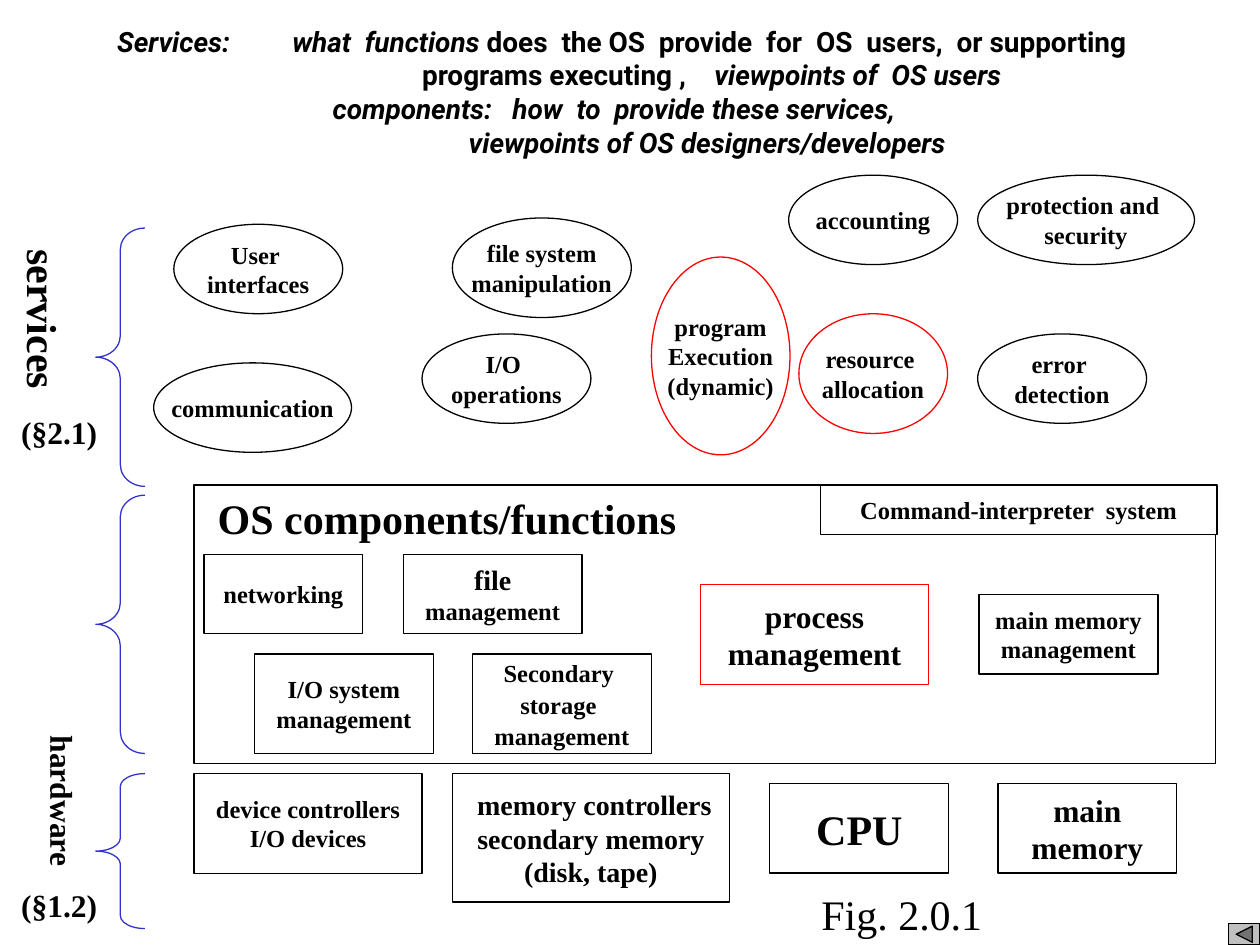
import pptx
import pptx.util
from pptx.dml.color import RGBColor
from pptx.enum.shapes import MSO_SHAPE
from pptx.enum.text import MSO_ANCHOR, MSO_AUTO_SIZE, PP_ALIGN
from pptx.oxml import parse_xml
from pptx.oxml.ns import nsdecls
from pptx.util import Inches, Pt

BLACK = RGBColor(0x00, 0x00, 0x00)
WHITE = RGBColor(0xFF, 0xFF, 0xFF)
RED = RGBColor(0xFF, 0x00, 0x00)
BLUE = RGBColor(0x33, 0x33, 0xCC)
SILVER = RGBColor(0xC0, 0xC0, 0xC0)
TITLE_FONT, BODY_FONT = "Roboto", "Times New Roman"

# Title lines: (tab stops in inches, [(text, italic), ...])
TITLE = [
    ((0.73, 2.12), [("\tServices:\twhat  functions ", True),
                    ("does  the OS  provide  for  OS  users,  or supporting", False)]),
    ((3.15, 5.47), [("\tprograms executing ,", False),
                    ("\tviewpoints of  OS users", True)]),
    ((2.44,), [("\tcomponents:   how  to  provide these services,", True)]),
    ((3.52,), [("\tviewpoints of OS designers/developers", True)]),
]

# Boxes: (left, top, width, height), lines, size, line colour
# A line is a string, or a list of (text, size) where sizes are mixed.
HARDWARE = [
    ((1.54, 6.14, 1.81, 0.79), ["device controllers", "I/O devices"], 14, BLACK),
    ((3.59, 6.14, 2.2, 1.02),
     [" memory controllers", "secondary memory", "(disk, tape)"], 16, BLACK),
    ((6.11, 6.22, 1.42, 0.71), ["CPU"], 24, BLACK),
    ((7.92, 6.22, 1.42, 0.71), ["main", "memory"], 18, BLACK),
]
COMPONENTS = [
    ((1.54, 3.85, 8.11, 2.21), [], 14, BLACK),
    ((5.56, 4.64, 1.81, 0.79), ["process", "management"], 18, RED),
    ((7.77, 4.72, 1.42, 0.63), ["main memory", "management"], 14, BLACK),
    ((3.2, 4.4, 1.42, 0.63), [[("file", 16)], "management"], 14, BLACK),
    ((2.02, 5.19, 1.42, 0.79), ["I/O system", "management"], 14, BLACK),
    ((3.75, 5.19, 1.42, 0.79),
     ["Secondary ", [("storage", 14), (" ", 16)], "management"], 14, BLACK),
    ((1.62, 4.4, 1.26, 0.63), ["networking"], 14, BLACK),
    ((6.51, 3.85, 3.15, 0.39), ["Command-interpreter  system"], 14, BLACK),
]
SERVICES = [
    ((5.17, 2.04, 1.1, 1.57), ["program", "Execution", "(dynamic)"], 14, RED),
    ((1.38, 1.78, 1.34, 0.71), ["User ", "interfaces"], 14, BLACK),
    ((3.59, 1.73, 1.42, 0.79), ["file system", "manipulation"], 14, BLACK),
    ((1.22, 2.88, 1.57, 0.71), ["communication"], 14, BLACK),
    ((7.76, 2.65, 1.34, 0.71), ["error ", "detection"], 14, BLACK),
    ((6.34, 2.49, 1.18, 0.95), ["resource ", "allocation"], 14, RED),
    ((6.26, 1.39, 1.34, 0.71), ["accounting"], 14, BLACK),
    ((7.76, 1.39, 1.72, 0.71), ["protection and ", "security"], 14, BLACK),
    ((3.35, 2.65, 1.34, 0.71), ["I/O ", "operations"], 14, BLACK),
]

# Labels: position, text, size, bold, vertical
LABELS = [
    ((1.63, 3.86, 3.84, 0.5), "OS components/functions", 24, True, False),
    ((0.2, 5.74, 0.5, 1.14), "hardware", 18, True, True),
    ((0, 1.88, 0.6, 1.21), "services", 24, True, True),
    ((0.07, 3.23, 0.86, 0.4), "(§2.1)", 18, True, False),
    ((0.07, 6.98, 0.86, 0.4), "(§1.2)", 18, True, False),
    ((6.42, 7, 1.5, 0.5), "Fig. 2.0.1", 24, False, False),
]

# Braces: top, height
BRACES = [(1.81, 2.05), (3.93, 2.05), (6.14, 1.23)]
BRACE_LEFT, BRACE_WIDTH = 0.76, 0.39


def style_font(font, size, bold=True, name=BODY_FONT):
    font.name, font.size, font.bold = name, Pt(size), bold
    font.color.rgb = BLACK


def add_outline(slide, kind, place, line, fill=None):
    shape = slide.shapes.add_shape(kind, *map(Inches, place))
    shape.shadow.inherit = False
    if fill is None:
        shape.fill.background()
    else:
        shape.fill.solid()
        shape.fill.fore_color.rgb = fill
    shape.line.color.rgb = line
    shape.line.width = Pt(0.75)
    return shape


def add_box(slide, kind, place, lines, size, line_color):
    frame = add_outline(slide, kind, place, line_color, WHITE).text_frame
    frame.word_wrap = False
    frame.vertical_anchor = MSO_ANCHOR.MIDDLE
    for i, line in enumerate(lines):
        paragraph = frame.add_paragraph() if i else frame.paragraphs[0]
        paragraph.alignment = PP_ALIGN.CENTER
        style_font(paragraph.font, size)
        for text, run_size in [(line, size)] if isinstance(line, str) else line:
            run = paragraph.add_run()
            run.text = text
            if run_size != size:
                run.font.size = Pt(run_size)


def add_label(slide, place, text, size, bold, vertical):
    frame = slide.shapes.add_textbox(*map(Inches, place)).text_frame
    frame.word_wrap = False
    frame.auto_size = MSO_AUTO_SIZE.NONE
    if vertical:
        frame.margin_left = frame.margin_right = Inches(0.05)
        frame.margin_top = frame.margin_bottom = Inches(0.05)
        frame._txBody.bodyPr.set("vert", "eaVert")
    frame.text = text
    style_font(frame.paragraphs[0].font, size, bold)


def fill_title(title):
    title.left, title.top, title.width, title.height = map(Inches, (0.2, 0.44, 9.53, 0.87))
    frame = title.text_frame
    frame.word_wrap = True
    frame.auto_size = MSO_AUTO_SIZE.NONE
    frame.vertical_anchor = MSO_ANCHOR.BOTTOM
    frame.margin_left = frame.margin_right = 0
    for i, (stops, runs) in enumerate(TITLE):
        paragraph = frame.add_paragraph() if i else frame.paragraphs[0]
        paragraph.alignment = PP_ALIGN.LEFT
        paragraph.line_spacing = 1.0
        tabs = "".join(f'<a:tab pos="{Inches(stop)}" algn="l"/>' for stop in stops)
        paragraph._p.get_or_add_pPr().append(
            parse_xml(f'<a:tabLst {nsdecls("a")}>{tabs}</a:tabLst>'))
        style_font(paragraph.font, 16, name=TITLE_FONT)
        for text, italic in runs:
            run = paragraph.add_run()
            run.text = text
            run.font.italic = italic


def main():
    deck = pptx.Presentation()
    deck.slide_width, deck.slide_height = Inches(10), Inches(7.5)
    slide = deck.slides.add_slide(deck.slide_layouts[5])
    fill_title(slide.shapes.title)

    # Hardware, component and service boxes
    for kind, boxes in ((MSO_SHAPE.RECTANGLE, HARDWARE + COMPONENTS),
                        (MSO_SHAPE.OVAL, SERVICES)):
        for box in boxes:
            add_box(slide, kind, *box)

    # Braces beside each layer, with curls a twelfth of the height
    for top, height in BRACES:
        brace = add_outline(slide, MSO_SHAPE.LEFT_BRACE,
                            (BRACE_LEFT, top, BRACE_WIDTH, height), BLUE)
        brace.adjustments[0] = height / 12 / BRACE_WIDTH

    # Layer names, section numbers and figure number
    for label in LABELS:
        add_label(slide, *label)

    # Back button in the corner
    add_outline(slide, MSO_SHAPE.ACTION_BUTTON_BACK_OR_PREVIOUS,
                (9.75, 7.33, 0.25, 0.17), BLACK, SILVER)

    deck.save("out.pptx")


if __name__ == "__main__":
    main()
